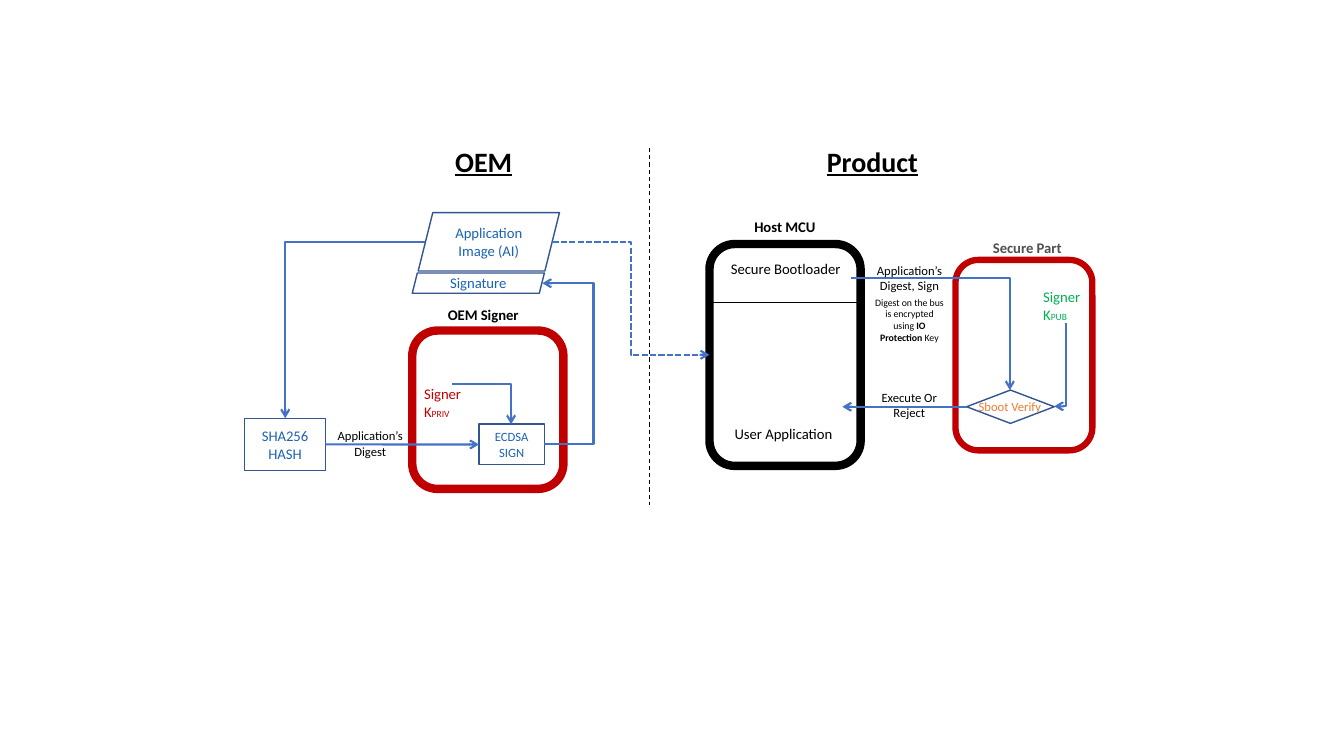
from lxml import etree
from pptx import Presentation
from pptx.dml.color import RGBColor
from pptx.enum import dml, shapes, text
from pptx.oxml import ns
from pptx.util import Cm, Pt

COLORS = {
    "black": "000000", "white": "FFFFFF", "red": "C00000", "green": "00B050",
    "gray": "505050", "orange": "ED7D31", "text": "1A63B3",
    "outline": "325491", "arrow": "4472C4",
}
SHAPE = shapes.MSO_SHAPE
DASH = dml.MSO_LINE
CENTER = text.PP_ALIGN.CENTER


def color(name):
    return RGBColor.from_string(COLORS[name])


def write(tf, lines, size, ink, bold=False, underline=False, align=CENTER):
    """Fill tf; a line is a list of (text, size, bold) runs or a plain string."""
    for i, line in enumerate(lines):
        p = tf.paragraphs[0] if i == 0 else tf.add_paragraph()
        p.alignment = align
        for words, run_size, run_bold in [(line, size, bold)] if isinstance(line, str) else line:
            r = p.add_run()
            r.text = words
            r.font.name = "Calibri"
            r.font.size = Pt(run_size)
            r.font.bold = run_bold
            r.font.underline = underline
            r.font.color.rgb = color(ink)


def no_insets(tf):
    tf.margin_left = tf.margin_right = tf.margin_top = tf.margin_bottom = 0


def add_label(s, box, lines, size=10.5, ink="black", wrap=True, **style):
    tf = s.shapes.add_textbox(*map(Cm, box)).text_frame
    tf.word_wrap = wrap
    write(tf, lines, size, ink, **style)
    return tf


def add_key(s, box, kind, ink):
    """Signer key name with a small suffix."""
    lines = ["Signer", [("K", 10.5, False), (kind, 6.8, False)]]
    no_insets(add_label(s, box, lines, ink=ink, align=text.PP_ALIGN.LEFT))


def add_block(s, kind, box, line="outline", width=1, fill=None):
    sp = s.shapes.add_shape(kind, *map(Cm, box))
    sp.shadow.inherit = False
    if fill:
        sp.fill.solid()
        sp.fill.fore_color.rgb = color(fill)
    else:
        sp.fill.background()
    sp.line.color.rgb = color(line)
    sp.line.width = Pt(width)
    return sp


def add_step(s, kind, box, lines, size=10.5, fill=None):
    sp = add_block(s, kind, box, fill=fill)
    tf = sp.text_frame
    tf.word_wrap = True
    tf.vertical_anchor = text.MSO_ANCHOR.MIDDLE
    if kind == SHAPE.RECTANGLE:
        no_insets(tf)
    write(tf, lines, size, "text")
    return sp


def add_line(s, start, end, ink="arrow", width=1.5, dash=None, arrow=None,
             kind=shapes.MSO_CONNECTOR.STRAIGHT):
    """Connector; arrow is "tailEnd" (at end) or "headEnd" (at start)."""
    c = s.shapes.add_connector(kind, *map(Cm, (*start, *end)))
    c.line.color.rgb = color(ink)
    c.line.width = Pt(width)
    if dash:
        c.line.dash_style = dash
    if arrow:
        etree.SubElement(c.line._get_or_add_ln(), ns.qn("a:" + arrow), type="arrow")
    etree.SubElement(c._element.spPr, ns.qn("a:effectLst"))
    return c


def add_elbow(s, start, end, via_x=None, arrow="tailEnd", dash=None):
    """Leave start sideways; turn at via_x, or only once when it is None."""
    c = add_line(s, start, end, dash=dash, arrow=arrow, kind=shapes.MSO_CONNECTOR.ELBOW)
    geom = c._element.spPr.find(ns.qn("a:prstGeom"))
    if via_x is None:
        geom.set("prst", "bentConnector2")
        return
    guides = geom.find(ns.qn("a:avLst"))
    if guides is None:
        guides = etree.SubElement(geom, ns.qn("a:avLst"))
    ratio = (via_x - start[0]) / (end[0] - start[0])
    etree.SubElement(guides, ns.qn("a:gd"), name="adj1", fmla=f"val {round(ratio * 100000)}")


def draw_oem(s):
    add_block(s, SHAPE.ROUNDED_RECTANGLE, (10.39, 8.33, 3.81, 3.99), "red", 6)
    add_key(s, (10.69, 9.7, 1.4, 0.89), "PRIV", "red")
    add_label(s, (10.54, 7.59, 3.28, 0.71), ["OEM Signer"], bold=True)
    sign = add_step(s, SHAPE.RECTANGLE, (12.07, 10.69, 1.65, 1.02), ["ECDSA", "SIGN"], 9)
    add_elbow(s, (11.4, 9.68), (12.88, 10.69))

    # Image, its hash and the signature
    add_step(s, SHAPE.PARALLELOGRAM, (10.54, 5.36, 3.56, 1.47),
             ["Application Image (AI)"], fill="white")
    sha = add_step(s, SHAPE.RECTANGLE, (6.17, 10.54, 2.03, 1.32), ["SHA256", "HASH"])
    add_label(s, (8.2, 10.67, 2.26, 1.02), ["Application’s", "Digest"], 9, wrap=False)
    c = add_line(s, (8.2, 11.2), (12.07, 11.2), arrow="tailEnd")
    c.begin_connect(sha, 3)
    c.end_connect(sign, 1)
    add_elbow(s, (10.72, 6.1), (7.19, 10.54))
    add_step(s, SHAPE.PARALLELOGRAM, (10.39, 6.88, 3.33, 0.51), ["Signature"], fill="white")
    add_elbow(s, (13.72, 11.2), (13.67, 7.14), via_x=14.96)


def draw_host(s):
    add_block(s, SHAPE.ROUNDED_RECTANGLE, (17.88, 6.15, 3.81, 5.59), "black", 6)
    add_elbow(s, (13.92, 6.1), (17.88, 8.94), via_x=15.9, dash=DASH.SQUARE_DOT)
    add_label(s, (18.14, 5.36, 3.28, 0.71), ["Host MCU"], bold=True)
    add_line(s, (17.98, 7.62), (21.64, 7.62), "black", 1)
    add_label(s, (18.16, 6.43, 3.28, 1.14), ["Secure Bootloader"])
    add_label(s, (17.98, 10.59, 3.53, 0.71), ["User Application"])


def draw_secure_part(s):
    add_block(s, SHAPE.ROUNDED_RECTANGLE, (24.08, 6.55, 3.45, 4.8), "red", 4.5)
    add_key(s, (26.29, 7.26, 1.17, 0.89), "PUB", "green")
    add_elbow(s, (21.44, 7.01), (25.45, 9.83))
    add_label(s, (21.79, 6.5, 2.26, 1.02), ["Application’s", "Digest, Sign"], 9, wrap=False)
    add_elbow(s, (26.57, 10.24), (26.87, 8.15), arrow="headEnd")
    verify = add_block(s, SHAPE.DIAMOND, (24.36, 9.83, 2.21, 0.84))
    add_label(s, (24.23, 9.93, 2.44, 0.64), ["Sboot Verify"], 9, "orange")
    add_label(s, (24.1, 5.89, 3.58, 0.71), ["Secure Part"], ink="gray", bold=True)

    # Verdict and bus note
    c = add_line(s, (24.36, 10.25), (21.23, 10.25), arrow="tailEnd")
    c.begin_connect(verify, 1)
    add_label(s, (21.95, 9.7, 1.93, 1.02), ["Execute Or", "Reject"], 9, wrap=False)
    note = [("Digest on the bus is encrypted using ", 7, False),
            ("IO Protection", 7, True), (" Key", 7, False)]
    add_label(s, (21.79, 7.34, 2.26, 1.45), [note])


def main():
    prs = Presentation()
    prs.slide_width, prs.slide_height = Cm(33.87), Cm(19.05)
    s = prs.slides.add_slide(prs.slide_layouts[6])

    # Side headings and divider
    for heading, left, width in (("OEM", 10.16, 4.06), ("Product", 19.46, 5.05)):
        add_label(s, (left, 3.51, width, 1.12), [heading], 20, bold=True, underline=True)
    add_line(s, (16.36, 3.73), (16.36, 12.73), "black", 0.75, DASH.DASH)

    draw_oem(s)
    draw_host(s)
    draw_secure_part(s)
    prs.save("out.pptx")


if __name__ == "__main__":
    main()
